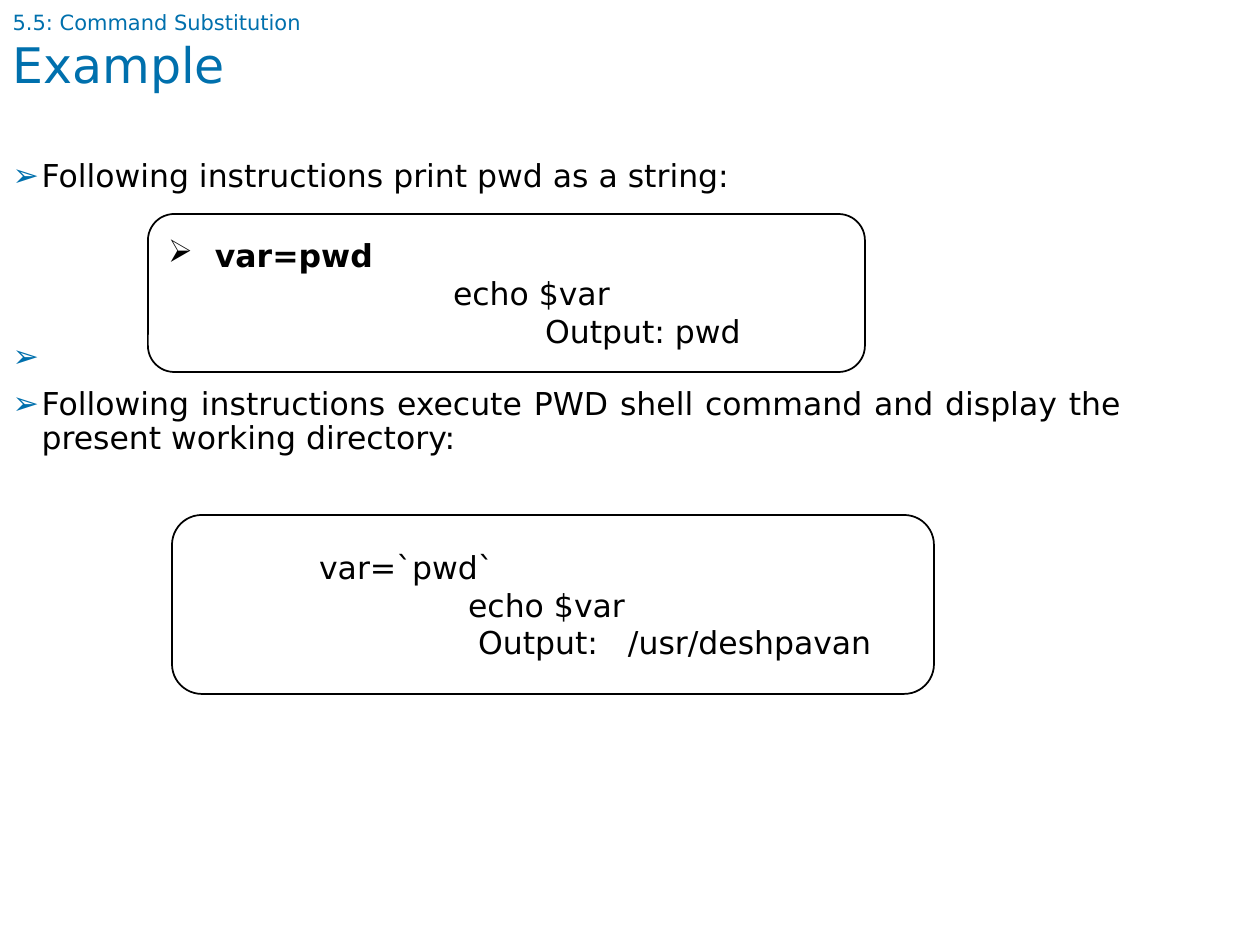
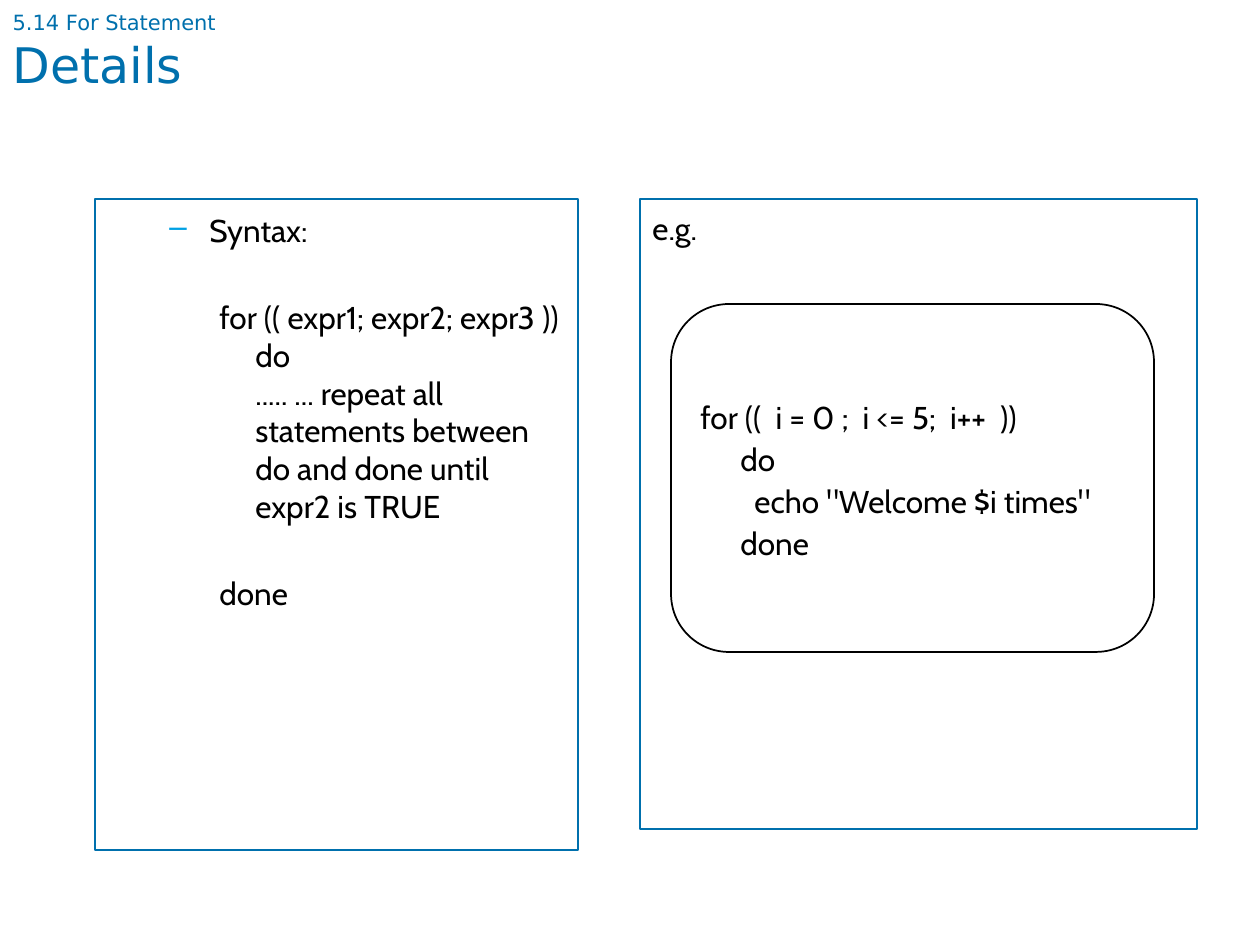
"""Build two shell scripting slides: command substitution and the for statement."""
import pptx
import pptx.util
import pptx.dml.color
import pptx.enum.shapes
import pptx.enum.text
import pptx.oxml.ns
import lxml.etree

SCALE = 914400 / 126
Pt = pptx.util.Pt
Align = pptx.enum.text.PP_ALIGN
Anchor = pptx.enum.text.MSO_ANCHOR
Kind = pptx.enum.shapes.MSO_SHAPE
HUES = {"blue": "0070AD", "sky": "00A1E4", "black": "000000", "white": "FFFFFF"}
SANS, CABIN = "DejaVu Sans", "Cabin"


def rgb(hue):
    return pptx.dml.color.RGBColor.from_string(HUES[hue])


def px(num):
    return round(num * SCALE)


def place(shape, spot):
    shape.left, shape.top, shape.width, shape.height = map(px, spot)
    frame = shape.text_frame
    frame.word_wrap = True
    frame.auto_size = pptx.enum.text.MSO_AUTO_SIZE.NONE
    frame.vertical_anchor = Anchor.TOP
    return frame


def add_box(slide, kind, spot, line, width, fill=None):
    shape = slide.shapes.add_shape(kind, *map(px, spot))
    shape.shadow.inherit = False
    shape.line.color.rgb = rgb(line)
    shape.line.width = Pt(width)
    if fill:
        shape.fill.solid()
        shape.fill.fore_color.rgb = rgb(fill)
    else:
        shape.fill.background()
    frame = place(shape, spot)
    if kind == Kind.ROUNDED_RECTANGLE:
        frame.vertical_anchor = Anchor.MIDDLE
    return frame


def write(frame, text, font=SANS, size=18, hue="black", bold=False, left=0, hang=0,
          mark=None, tint="black", gap=0, line=None, align=Align.LEFT):
    para = frame.paragraphs[-1]
    if para.runs:
        para = frame.add_paragraph()
    para.alignment = align
    para.space_before = Pt(gap)
    if line:
        para.line_spacing = line
    props = para._p.get_or_add_pPr()
    props.set("marL", str(px(left)))
    props.set("indent", str(px(-hang)))
    qn = pptx.oxml.ns.qn
    if mark:
        color = lxml.etree.SubElement(props, qn("a:buClr"))
        lxml.etree.SubElement(color, qn("a:srgbClr")).set("val", HUES[tint])
        lxml.etree.SubElement(props, qn("a:buChar")).set("char", mark)
    else:
        lxml.etree.SubElement(props, qn("a:buNone"))
    run = para.add_run()
    run.text = text
    run.font.name = font
    run.font.size = Pt(size)
    run.font.bold = bold
    run.font.color.rgb = rgb(hue)


deck = pptx.Presentation()
deck.slide_width, deck.slide_height = px(1260), px(945)

slides = []
for layout, topic, head in [
    (1, "5.5: Command Substitution", "Example"),
    (5, "5.14 For Statement", "Details"),
]:
    slide = deck.slides.add_slide(deck.slide_layouts[layout])
    title = place(slide.shapes.title, (0, 3, 1134, 110))
    write(title, topic, size=12, hue="blue")
    write(title, head, size=28, hue="blue")
    slides.append(slide)
shell, loop = slides

body = place(shell.placeholders[1], (0, 154, 1134, 690))
for text, gap, left in [
    ("Following instructions print pwd as a string:", 7.5, 29),
    (" ", 84, 47),
    ("Following instructions execute PWD shell command and display the "
     "present working directory:", 7.5, 29),
]:
    write(body, text, left=left, hang=left, mark="➢", tint="blue", gap=gap,
          line=0.9, align=Align.JUSTIFY)

plain = add_box(shell, Kind.ROUNDED_RECTANGLE, (148, 214, 717, 158), "black", 1, "white")
write(plain, "var=pwd", bold=True, left=47, hang=47, mark="➢")
write(plain, "echo $var", left=285)
write(plain, "Output: pwd", left=377)

quoted = add_box(shell, Kind.ROUNDED_RECTANGLE, (172, 515, 762, 179), "black", 1, "white")
for text, left in [
    ("var=`pwd`", 126),
    ("echo $var", 275),
    ("Output:   /usr/deshpavan", 285),
]:
    write(quoted, text, left=left)

syntax = add_box(loop, Kind.RECTANGLE, (95, 199, 483, 651), "blue", 1.5)
write(syntax, "Syntax:", font=CABIN, left=102, hang=40, mark="–", tint="sky", line=Pt(25))
for text, left, gap in [
    ("for (( expr1; expr2; expr3 ))", 112, 28),
    ("do", 148, 0),
    ("..... ... repeat all statements between do and done until expr2 is TRUE", 148, 0),
    ("done", 112, 28),
]:
    write(syntax, text, font=CABIN, left=left, gap=gap)

sample = add_box(loop, Kind.RECTANGLE, (640, 199, 557, 630), "blue", 1.5)
write(sample, "e.g.", font=CABIN, line=Pt(24))

code = add_box(loop, Kind.ROUNDED_RECTANGLE, (671, 304, 483, 348), "black", 1, "white")
for text, left in [
    ("for ((  i = 0 ;  i <= 5;  i++  ))", 0),
    ("do", 40),
    ('echo "Welcome $i times"', 54),
    ("done", 40),
]:
    write(code, text, font=CABIN, left=left, line=Pt(24))

deck.save("out.pptx")
